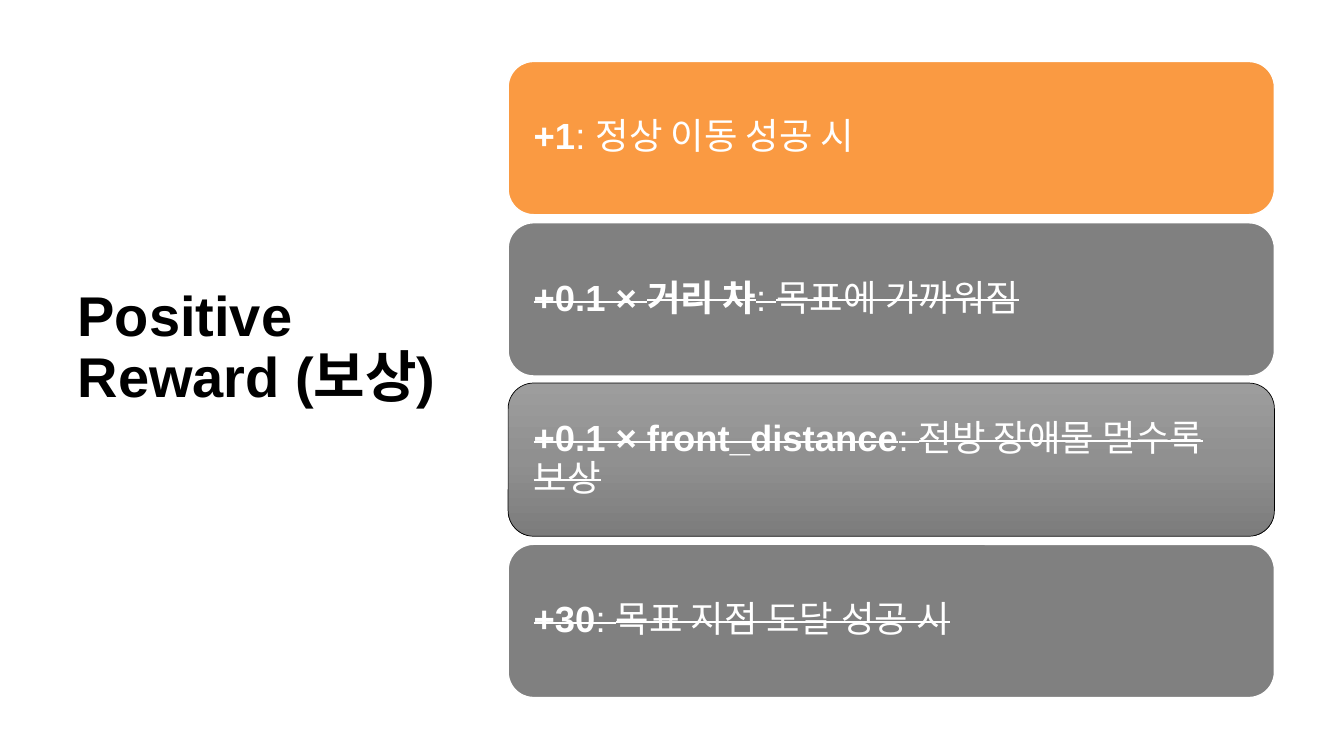
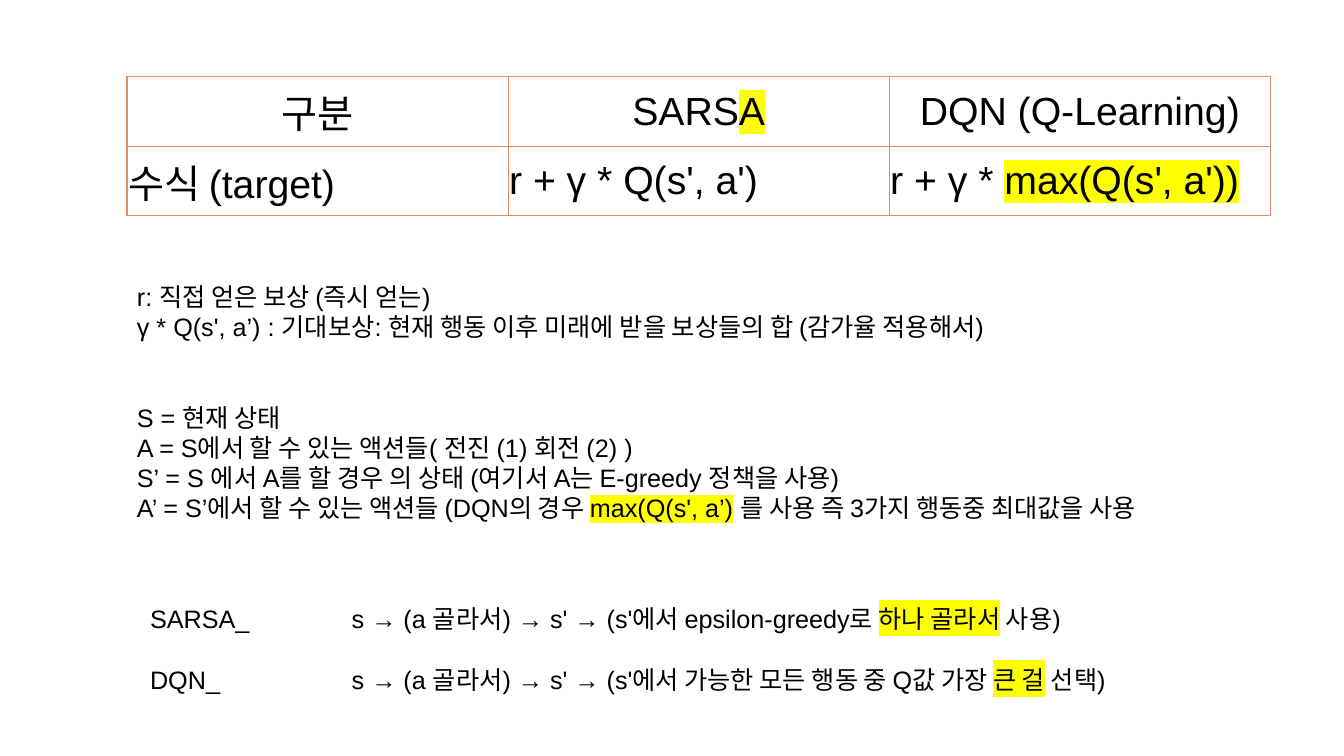
from collections import namedtuple
from copy import deepcopy
from dataclasses import dataclass

from lxml.etree import SubElement
from pptx import Presentation
from pptx.dml.color import RGBColor as Rgb
from pptx.enum.shapes import MSO_SHAPE as Shape
from pptx.enum.text import MSO_ANCHOR as Anchor, MSO_AUTO_SIZE as AutoSize, PP_ALIGN as Align
from pptx.oxml.ns import qn
from pptx.util import Emu, Pt

EMU_PER_PX = 9144
Box = namedtuple("Box", "left top width height")


@dataclass(frozen=True)
class Theme:
    """Colours, font and type sizes shared by the slides."""
    font: str = "Arial"
    ink: str = "000000"
    paper: str = "FFFFFF"
    accent: str = "FA9A42"
    muted: str = "808080"
    shades: tuple = ("9D9D9D", "909090", "7C7C7C")
    border: str = "E78A67"
    marker: str = "FFFF00"
    title: int = 40
    card: int = 26
    table: int = 28
    body: int = 18


THEME = Theme()

REWARDS = [
    ("accent", [("+1", "b"), (": 정상 이동 성공 시", "")]),
    ("muted", [("+0.1 × 거리 차", "bs"), (": 목표에 가까워짐", "s")]),
    ("shaded", [("+0.1 × front_distance", "bs"), (": 전방 장애물 멀수록 보상", "s")]),
    ("muted", [("+30", "bs"), (": 목표 지점 도달 성공 시", "s")]),
]
TARGETS = [
    [[("구분", "")], [("SARS", ""), ("A", "h")], [("DQN (Q-Learning)", "")]],
    [[("수식 (target)", "")], [("r + γ * Q(s', a')", "")],
     [("r + γ * ", ""), ("max(Q(s', a'))", "h")]],
]
DEFINITIONS = [
    (0, [("r: 직접 얻은 보상 (즉시 얻는)", "")]),
    (0, [("γ * Q(s', a’) : 기대보상: 현재 행동 이후 미래에 받을 보상들의 합 (감가율 적용해서)", "")]),
    (43, [("S = 현재 상태", "")]),
    (0, [("A = S에서 할 수 있는 액션들( 전진 (1) 회전 (2) )", "")]),
    (0, [("S’ = S 에서 A를 할 경우 의 상태 (여기서 A는 E-greedy 정책을 사용)", "")]),
    (0, [("A’ = S’에서 할 수 있는 액션들 (DQN의 경우 ", ""), ("max(Q(s', a’)", "h"),
         (" 를 사용 즉 3가지 행동중 최대값을 사용", "")]),
]
SEQUENCES = [
    (0, [("SARSA_\ts → (a 골라서) → s' → (s'에서 epsilon-greedy로 ", ""),
         ("하나 골라서", "h"), (" 사용)", "")]),
    (21.5, [("DQN_\ts → (a 골라서) → s' → (s'에서 가능한 모든 행동 중 Q값 가장 ", ""),
            ("큰 걸", "h"), (" 선택)", "")]),
]


def px(length):
    """Turn whole pixels into EMU."""
    return Emu(length * EMU_PER_PX)


def place(box):
    """Turn a box into four EMU lengths."""
    return [px(length) for length in box]


def write(para, spans, size, color):
    """Add spans to a paragraph; marks are b bold, s struck, h highlighted."""
    for text, marks in spans:
        span = para.add_run()
        span.text = text
        font = span.font
        font.size = Pt(size)
        font.bold = "b" in marks
        font.color.rgb = Rgb.from_string(color)
        props = span._r.get_or_add_rPr()
        if "s" in marks:
            props.set("strike", "sngStrike")
        if "h" in marks:
            SubElement(SubElement(props, qn("a:highlight")), qn("a:srgbClr"), val=THEME.marker)
        font.name = THEME.font


def add_title(page, box, text):
    """Move the title placeholder to its box and fill it."""
    title = page.shapes.title
    title.left, title.top, title.width, title.height = place(box)
    frame = title.text_frame
    frame.word_wrap = True
    frame.auto_size = AutoSize.NONE
    frame.vertical_anchor = Anchor.MIDDLE
    para = frame.paragraphs[0]
    para.alignment = Align.LEFT
    para.line_spacing = 0.9
    write(para, [(text, "b")], THEME.title, THEME.ink)


def shade(card):
    """Fill a card with the vertical three-stop gradient."""
    card.fill.gradient()
    card.fill.gradient_angle = 270
    stop_list = card.element.spPr.find(qn("a:gradFill")).find(qn("a:gsLst"))
    stop_list.append(deepcopy(stop_list[-1]))
    for index, (stop, color) in enumerate(zip(card.fill.gradient_stops, THEME.shades)):
        stop.position = index / 2
        stop.color.rgb = Rgb.from_string(color)


def add_card(page, box, style, spans):
    """Draw one rounded reward card."""
    card = page.shapes.add_shape(Shape.ROUNDED_RECTANGLE, *place(box))
    card.shadow.inherit = False
    shaded = style == "shaded"
    if shaded:
        shade(card)
    else:
        card.fill.solid()
        card.fill.fore_color.rgb = Rgb.from_string(getattr(THEME, style))
    card.line.color.rgb = Rgb.from_string(THEME.ink if shaded else THEME.paper)
    card.line.width = Pt(0.5 if shaded else 1)
    frame = card.text_frame
    frame.word_wrap = True
    frame.vertical_anchor = Anchor.MIDDLE
    frame.margin_left = frame.margin_right = px(18)
    para = frame.paragraphs[0]
    para.alignment = Align.LEFT
    para.line_spacing = 0.9
    write(para, spans, THEME.card, THEME.paper)


def add_card_stack(page, box, cards, height):
    """Spread cards evenly down a box."""
    pitch = (box.height - height) / (len(cards) - 1)
    for index, (style, spans) in enumerate(cards):
        top = box.top + round(index * pitch)
        add_card(page, Box(box.left, top, box.width, height), style, spans)


def outline(cell):
    """Draw all four borders of a table cell."""
    props = cell._tc.get_or_add_tcPr()
    for index, side in enumerate(("lnL", "lnR", "lnT", "lnB")):
        line = props.makeelement(qn(f"a:{side}"), {"w": str(Pt(1))})
        fill = SubElement(line, qn("a:solidFill"))
        SubElement(fill, qn("a:srgbClr"), val=THEME.border)
        props.insert(index, line)


def add_target_table(page, box, rows):
    """Draw the table of update targets."""
    table = page.shapes.add_table(len(rows), len(rows[0]), *place(box)).table
    table.first_row = table.horz_banding = False
    for row_index, row in enumerate(rows):
        for column_index, spans in enumerate(row):
            cell = table.cell(row_index, column_index)
            cell.fill.background()
            outline(cell)
            cell.vertical_anchor = Anchor.MIDDLE
            cell.margin_left = cell.margin_right = cell.margin_top = px(1)
            cell.margin_bottom = 0
            para = cell.text_frame.paragraphs[0]
            para.alignment = Align.LEFT if row_index else Align.CENTER
            write(para, spans, THEME.table, THEME.ink)


def add_notes_box(page, box, lines, tab=0):
    """Write body lines, each with its space before and an optional tab stop."""
    frame = page.shapes.add_textbox(*place(box)).text_frame
    frame.word_wrap = True
    frame.auto_size = AutoSize.SHAPE_TO_FIT_TEXT
    for index, (space, spans) in enumerate(lines):
        para = frame.add_paragraph() if index else frame.paragraphs[0]
        para.space_before = Pt(space)
        if tab:
            stops = SubElement(para._p.get_or_add_pPr(), qn("a:tabLst"))
            SubElement(stops, qn("a:tab"), pos=str(px(tab)), algn="l")
        write(para, spans, THEME.body, THEME.ink)


def build_reward_slide(deck):
    """Build the slide of positive rewards."""
    page = deck.slides.add_slide(deck.slide_layouts[5])
    add_title(page, Box(67, 60, 382, 572), "Positive Reward (보상)")
    add_card_stack(page, Box(504, 61, 760, 631), REWARDS, 152)


def build_target_slide(deck):
    """Build the slide comparing SARSA and DQN."""
    page = deck.slides.add_slide(deck.slide_layouts[6])
    add_target_table(page, Box(126, 76, 1134, 138), TARGETS)
    add_notes_box(page, Box(126, 274, 1133, 250), DEFINITIONS)
    add_notes_box(page, Box(139, 594, 1073, 100), SEQUENCES, tab=200)


def main():
    """Build and save the deck."""
    deck = Presentation()
    deck.slide_width, deck.slide_height = px(1333), px(750)
    build_reward_slide(deck)
    build_target_slide(deck)
    deck.save("out.pptx")


if __name__ == "__main__":
    main()
